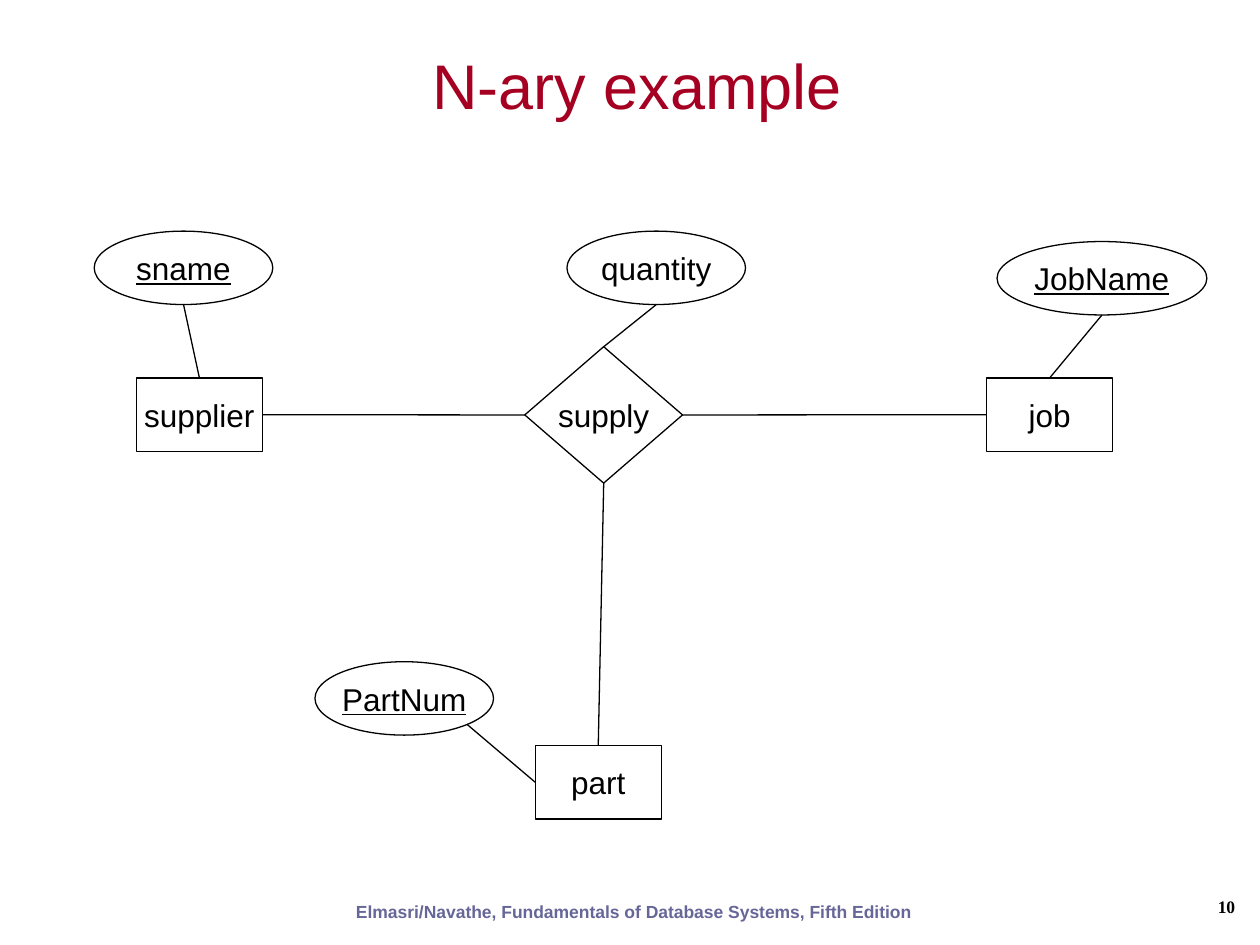
from lxml.etree import SubElement
from pptx import Presentation
from pptx.dml.color import RGBColor
from pptx.enum.shapes import MSO_CONNECTOR, MSO_SHAPE
from pptx.enum.text import MSO_ANCHOR, PP_ALIGN
from pptx.oxml.ns import qn
from pptx.util import Cm, Pt

BLACK = RGBColor(0x00, 0x00, 0x00)
CRIMSON = RGBColor(0xA5, 0x00, 0x21)
SLATE = RGBColor(0x66, 0x66, 0x99)

NODE_HEIGHT = 1.48
ENTITY_SIZE = (2.54, NODE_HEIGHT)
ATTRIBUTE_SIZE = (3.6, NODE_HEIGHT)
WIDE_ATTRIBUTE_SIZE = (4.23, NODE_HEIGHT)
RELATIONSHIP_SIZE = (3.18, 2.75)

NODES = [
    ("supplier", MSO_SHAPE.RECTANGLE, 0.85, 2.96, ENTITY_SIZE, False),
    ("part", MSO_SHAPE.RECTANGLE, 8.89, 10.37, ENTITY_SIZE, False),
    ("job", MSO_SHAPE.RECTANGLE, 17.99, 2.96, ENTITY_SIZE, False),
    ("supply", MSO_SHAPE.DIAMOND, 8.68, 2.33, RELATIONSHIP_SIZE, False),
    ("sname", MSO_SHAPE.OVAL, 0, 0, ATTRIBUTE_SIZE, True),
    ("quantity", MSO_SHAPE.OVAL, 9.53, 0, ATTRIBUTE_SIZE, False),
    ("JobName", MSO_SHAPE.OVAL, 18.2, 0.21, WIDE_ATTRIBUTE_SIZE, True),
    ("PartNum", MSO_SHAPE.OVAL, 4.45, 8.68, ATTRIBUTE_SIZE, True),
]

TOP = (0.5, 0)
LEFT = (0, 0.5)
BOTTOM = (0.5, 1)
RIGHT = (1, 0.5)
OVAL_BOTTOM_RIGHT = (0.85, 0.85)

LINKS = [
    ("supplier", RIGHT, "supply", LEFT),
    ("supply", RIGHT, "job", LEFT),
    ("supply", BOTTOM, "part", TOP),
    ("sname", BOTTOM, "supplier", TOP),
    ("quantity", BOTTOM, "supply", TOP),
    ("JobName", BOTTOM, "job", TOP),
    ("PartNum", OVAL_BOTTOM_RIGHT, "part", LEFT),
]


def write_text(shape, text, size, color, align=PP_ALIGN.CENTER,
               anchor=MSO_ANCHOR.MIDDLE, font_name="Arial",
               bold=False, underline=False, wrap=True):
    frame = shape.text_frame
    frame.word_wrap = wrap
    frame.vertical_anchor = anchor
    paragraph = frame.paragraphs[0]
    paragraph.alignment = align
    run = paragraph.add_run()
    run.text = text
    run.font.name = font_name
    run.font.size = Pt(size)
    run.font.color.rgb = color
    run.font.bold = bold
    run.font.underline = underline
    return paragraph


def add_text_box(slide, left, top, width, height):
    return slide.shapes.add_textbox(Cm(left), Cm(top), Cm(width), Cm(height))


def add_title(slide, left, top, width, height):
    box = add_text_box(slide, left, top, width, height)
    paragraph = write_text(box, "N-ary example", 36, CRIMSON)
    paragraph.line_spacing = 0.85


def add_node(slide, text, kind, left, top, size, is_key):
    width, height = size
    shape = slide.shapes.add_shape(kind, Cm(left), Cm(top), Cm(width), Cm(height))
    shape.shadow.inherit = False
    shape.fill.background()
    shape.line.color.rgb = BLACK
    shape.line.width = Pt(0.75)
    write_text(shape, text, 18, BLACK, underline=is_key, wrap=False)
    return shape


def site_point(shape, site):
    across, down = site
    return (shape.left + round(shape.width * across),
            shape.top + round(shape.height * down))


def add_link(slide, start, start_site, end, end_site):
    connector = slide.shapes.add_connector(
        MSO_CONNECTOR.STRAIGHT,
        *site_point(start, start_site), *site_point(end, end_site))
    connector.line.color.rgb = BLACK
    connector.line.width = Pt(0.75)
    SubElement(connector._element.spPr, qn("a:effectLst"))


def add_diagram(slide, left, top):
    nodes = {}
    for name, kind, x, y, size, is_key in NODES:
        nodes[name] = add_node(slide, name, kind, left + x, top + y, size, is_key)
    for start, start_site, end, end_site in LINKS:
        add_link(slide, nodes[start], start_site, nodes[end], end_site)


def add_footer(slide, left, top, width, height):
    credit = add_text_box(slide, left, top + 0.18, 21.06, height - 0.26)
    write_text(credit, "Elmasri/Navathe, Fundamentals of Database Systems, Fifth Edition ",
               10, SLATE, anchor=MSO_ANCHOR.BOTTOM, bold=True)
    number_width = 5.28
    number = add_text_box(slide, left + width - number_width, top,
                          number_width, height)
    write_text(number, "10", 10, BLACK, align=PP_ALIGN.RIGHT,
               font_name="Times New Roman", bold=True)


def main():
    presentation = Presentation()
    presentation.slide_width = Cm(25.4)
    presentation.slide_height = Cm(19.05)
    slide = presentation.slides.add_slide(presentation.slide_layouts[6])
    add_title(slide, 2.87, 0.74, 19.94, 2.16)
    add_diagram(slide, 1.9, 4.66)
    add_footer(slide, 2.29, 17.73, 22.86, 1.07)
    presentation.save("out.pptx")


if __name__ == "__main__":
    main()
